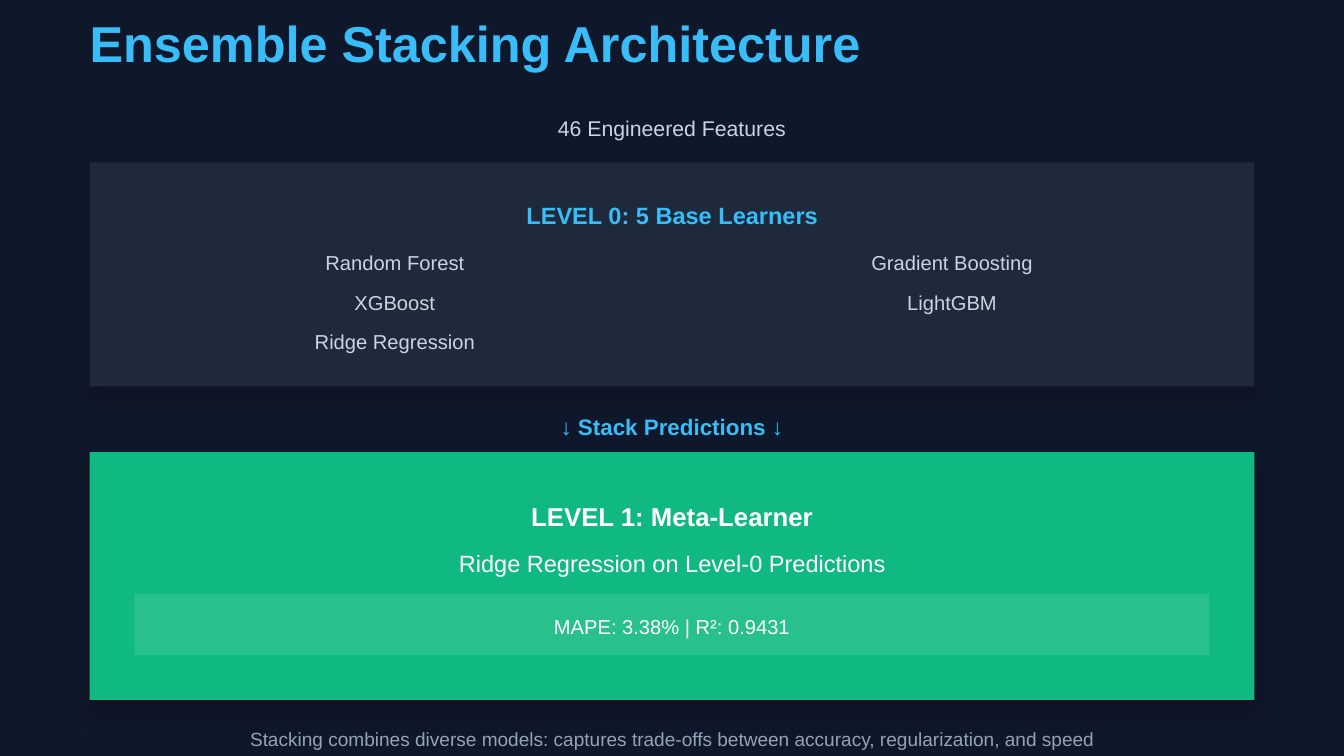
from dataclasses import dataclass

from lxml.etree import SubElement as Sub
from pptx import Presentation
from pptx.dml.color import RGBColor as Rgb
from pptx.enum.shapes import MSO_SHAPE as Kind
from pptx.enum.text import MSO_ANCHOR as Anchor, MSO_AUTO_SIZE as Fit, PP_ALIGN as Align
from pptx.oxml.ns import qn
from pptx.util import Emu, Pt

SCALE = 9525  # EMU in one px


@dataclass(frozen=True)
class Theme:
    font: str = "Arial"
    back: str = "0F172A"
    panel: str = "1E293B"
    green: str = "10B981"
    sky: str = "38BDF8"
    pale: str = "CBD5E1"
    white: str = "FFFFFF"
    muted: str = "94A3B8"
    black: str = "000000"
    title: float = 27
    meta: float = 13.8
    head: float = 12.6
    step: float = 12
    intro: float = 11.4
    item: float = 10.8
    note: float = 10.2


THEME = Theme()


def px(n):
    return Emu(n * SCALE)


def place(shape, box):
    shape.left, shape.top, shape.width, shape.height = map(px, box)


def write(shape, *lines, size, color, bold=False, align=Align.CENTER, lead=1.4, gap=0):
    """Set one plain paragraph a line; lead is a multiple of the type size."""
    frame = shape.text_frame
    frame.auto_size = Fit.NONE
    frame.word_wrap = True
    frame.vertical_anchor = Anchor.TOP
    frame.margin_left = frame.margin_top = frame.margin_right = frame.margin_bottom = 0
    frame.text = "\n".join(lines)
    for para in frame.paragraphs:
        para.alignment = align
        para.line_spacing = Pt(size * lead)
        para.space_before, para.space_after = Pt(0), Pt(gap)
        font = para.runs[0].font
        font.name, font.size, font.bold = THEME.font, Pt(size), bold
        font.color.rgb = Rgb.from_string(color)


def label(slide, box, text, **form):
    write(slide.shapes.add_textbox(*map(px, box)), text, **form)


def block(slide, box, color, alpha=None, raised=False):
    """Draw a filled rectangle, with alpha in percent and a soft shadow if raised."""
    shape = slide.shapes.add_shape(Kind.RECTANGLE, *map(px, box))
    shape.shadow.inherit = False
    shape.line.fill.background()
    shape.fill.solid()
    shape.fill.fore_color.rgb = Rgb.from_string(color)
    props = shape.element.spPr
    if alpha is not None:
        fill = props.find(qn("a:solidFill"))
        Sub(fill[0], qn("a:alpha"), val=str(alpha * 1000))
    if raised:
        cast = Sub(props.find(qn("a:effectLst")), qn("a:outerShdw"),
                   blurRad=str(Pt(12)), dist=str(Pt(6)), dir="5400000",
                   algn="ctr", rotWithShape="0")
        tint = Sub(cast, qn("a:srgbClr"), val=THEME.black)
        Sub(tint, qn("a:alpha"), val="20000")


def column(holder, box, names):
    """Fill a body placeholder with an unbulleted list, above the panel."""
    place(holder, box)
    write(holder, *names, size=THEME.item, color=THEME.pale, gap=6.1)
    for para in holder.text_frame.paragraphs:
        props = para._p.get_or_add_pPr()
        props.set("marL", "0")
        props.set("indent", "0")
        Sub(props, qn("a:buNone"))
    holder.element.getparent().append(holder.element)


def learners(slide, box, lists):
    left, top, width, _ = box
    block(slide, box, THEME.panel, raised=True)
    label(slide, (left + 16, top + 24, width - 32, 23), "LEVEL 0: 5 Base Learners",
          size=THEME.head, color=THEME.sky, bold=True)
    wide = width // 2 - 20
    for i, names in enumerate(lists):
        column(slide.placeholders[i + 1],
               (left + 20 + i * (wide + 2), top + 60, wide, 77), names)


def meta(slide, box):
    left, top, width, _ = box
    block(slide, box, THEME.green, raised=True)
    label(slide, (left + 24, top + 31, width - 48, 26), "LEVEL 1: Meta-Learner",
          size=THEME.meta, color=THEME.white, bold=True)
    label(slide, (left + 24, top + 66, width - 48, 23),
          "Ridge Regression on Level-0 Predictions",
          size=THEME.head, color=THEME.white)
    score(slide, (left + 32, top + 101, width - 64, 44))


def score(slide, box):
    left, top, width, _ = box
    block(slide, box, THEME.white, alpha=10)
    label(slide, (left + 4, top + 12, width - 8, 20), "MAPE: 3.38% | R²: 0.9431",
          size=THEME.item, color=THEME.white)


def main():
    deck = Presentation()
    deck.slide_width, deck.slide_height = px(960), px(540)
    slide = deck.slides.add_slide(deck.slide_layouts.get_by_name("Two Content"))
    back = slide.background.fill
    back.solid()
    back.fore_color.rgb = Rgb.from_string(THEME.back)

    title = slide.shapes.title
    place(title, (64, 9, 849, 43))
    write(title, "Ensemble Stacking Architecture", size=THEME.title,
          color=THEME.sky, bold=True, align=Align.LEFT, lead=1.2)
    label(slide, (56, 79, 848, 21), "46 Engineered Features",
          size=THEME.intro, color=THEME.pale)
    learners(slide, (64, 116, 832, 160),
             [("Random Forest", "XGBoost", "Ridge Regression"),
              ("Gradient Boosting", "LightGBM")])
    label(slide, (56, 292, 848, 22), "↓ Stack Predictions ↓",
          size=THEME.step, color=THEME.sky, bold=True)
    meta(slide, (64, 323, 832, 177))
    label(slide, (64, 517, 832, 23),
          "Stacking combines diverse models: captures trade-offs between "
          "accuracy, regularization, and speed",
          size=THEME.note, color=THEME.muted)
    deck.save("out.pptx")


if __name__ == "__main__":
    main()
